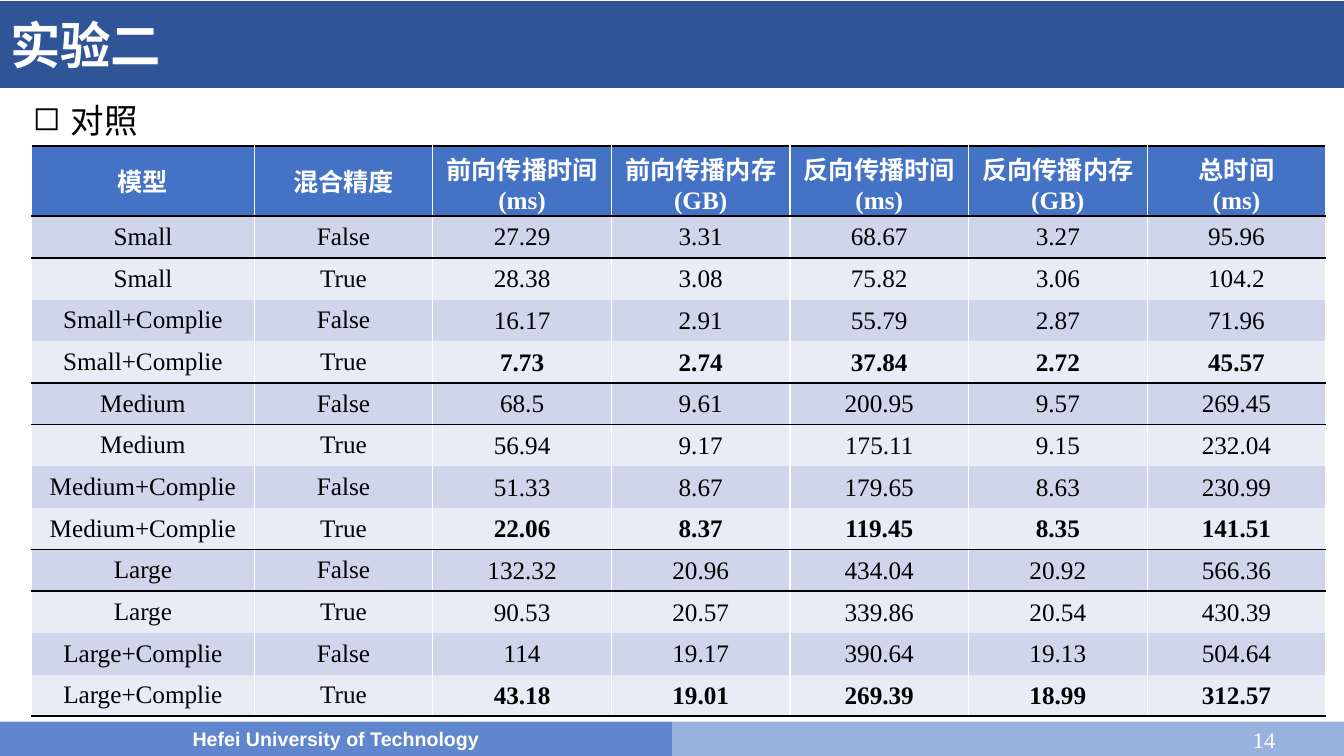
import pptx
import pptx.dml.color
import pptx.enum.shapes
import pptx.enum.text
import pptx.oxml
import pptx.oxml.ns
import pptx.util

Pt = pptx.util.Pt
ALIGN = pptx.enum.text.PP_ALIGN
MIDDLE = pptx.enum.text.MSO_ANCHOR.MIDDLE

SLIDE_WIDTH, SLIDE_HEIGHT = 960, 540
SERIF, SANS = "Times New Roman", "Arial"
COLORS = {
    "banner": "2F5497",
    "banner_line": "325491",
    "footer_left": "6087CD",
    "footer_right": "99B1DF",
    "header": "4472C4",
    "band_dark": "CFD5EA",
    "band_light": "E9EBF5",
    "white": "FFFFFF",
    "black": "000000",
}

HEADERS = [
    ["模型"], ["混合精度"],
    ["前向传播时间", "(ms)"], ["前向传播内存", "(GB)"],
    ["反向传播时间", "(ms)"], ["反向传播内存", "(GB)"],
    ["总时间", "(ms)"],
]
# Four runs per model size: plain, plain, compiled, compiled
RESULTS = {
    "Small": [
        ["27.29", "3.31", "68.67", "3.27", "95.96"],
        ["28.38", "3.08", "75.82", "3.06", "104.2"],
        ["16.17", "2.91", "55.79", "2.87", "71.96"],
        ["7.73", "2.74", "37.84", "2.72", "45.57"],
    ],
    "Medium": [
        ["68.5", "9.61", "200.95", "9.57", "269.45"],
        ["56.94", "9.17", "175.11", "9.15", "232.04"],
        ["51.33", "8.67", "179.65", "8.63", "230.99"],
        ["22.06", "8.37", "119.45", "8.35", "141.51"],
    ],
    "Large": [
        ["132.32", "20.96", "434.04", "20.92", "566.36"],
        ["90.53", "20.57", "339.86", "20.54", "430.39"],
        ["114", "19.17", "390.64", "19.13", "504.64"],
        ["43.18", "19.01", "269.39", "18.99", "312.57"],
    ],
}
ROOMY_ROWS = {1, 2, 5}  # rows whose numbers keep the default cell margins


def rgb(name):
    return pptx.dml.color.RGBColor.from_string(COLORS[name])


def add_run(paragraph, text, size, color, bold=False, font=SERIF):
    run = paragraph.add_run()
    run.text = text
    run.font.name, run.font.size, run.font.bold = font, Pt(size), bold
    run.font.color.rgb = rgb(color)
    return run


def add_bar(slide, left, top, width, height, fill, line=None):
    bar = slide.shapes.add_shape(
        pptx.enum.shapes.MSO_SHAPE.RECTANGLE, Pt(left), Pt(top), Pt(width), Pt(height))
    bar.shadow.inherit = False
    bar.fill.solid()
    bar.fill.fore_color.rgb = rgb(fill)
    if line:
        bar.line.color.rgb = rgb(line)
        bar.line.width = Pt(1)
    else:
        bar.line.fill.background()
    return bar


def add_text_box(slide, left, top, width, height):
    box = slide.shapes.add_textbox(Pt(left), Pt(top), Pt(width), Pt(height))
    box.text_frame.word_wrap = True
    return box.text_frame


def add_title(slide, left, top, width, height):
    banner = add_bar(slide, left, top, width, height, "banner", "banner_line")
    title = slide.shapes.title
    banner.element.addnext(title.element)  # title sits above its banner
    title.left, title.top = Pt(left), Pt(top)
    title.width, title.height = Pt(width - 30), Pt(height)
    frame = title.text_frame
    frame.auto_size = pptx.enum.text.MSO_AUTO_SIZE.NONE
    frame.vertical_anchor = MIDDLE
    paragraph = frame.paragraphs[0]
    paragraph.alignment = ALIGN.LEFT
    paragraph.space_before = Pt(1.3)
    add_run(paragraph, "实验二", 36, "white", bold=True)


def add_footer(slide, left, top, width, height):
    half = width / 2
    add_bar(slide, left + half, top, half, height, "footer_right")
    school = add_bar(slide, left, top, half, height, "footer_left").text_frame
    school.vertical_anchor = MIDDLE
    school.paragraphs[0].alignment = ALIGN.CENTER
    add_run(school.paragraphs[0], "Hefei University of Technology", 14, "white", True, SANS)
    # Slide number
    number = add_text_box(slide, left + width - 258, top, 216, 26.4)
    number.vertical_anchor = MIDDLE
    number.paragraphs[0].alignment = ALIGN.RIGHT
    add_run(number.paragraphs[0], "14", 16, "white")


def add_body(slide, left, top, width, height):
    paragraph = add_text_box(slide, left, top, width, height).paragraphs[0]
    paragraph.line_spacing = 0.9
    paragraph.space_before = Pt(10)
    add_run(paragraph, "对照", 24, "black")
    properties = paragraph._p.get_or_add_pPr()
    properties.set("marL", str(Pt(27)))
    properties.set("indent", str(-Pt(27)))
    properties.append(pptx.oxml.parse_xml(
        f'<a:buChar {pptx.oxml.ns.nsdecls("a")} char="◻"/>'))


def set_border(cell, side, color=None, width=1):
    paint = (f'<a:solidFill><a:srgbClr val="{COLORS[color]}"/></a:solidFill>'
             if color else "<a:noFill/>")
    cell._tc.get_or_add_tcPr().append(pptx.oxml.parse_xml(
        f'<a:ln{side} {pptx.oxml.ns.nsdecls("a")} w="{Pt(width)}">{paint}</a:ln{side}>'))


def fill_cell(cell, lines, fill, color, bold, rule_above, rule_below):
    for side in "LR":
        set_border(cell, side, "white")
    for side, ruled in (("T", rule_above), ("B", rule_below)):
        set_border(cell, side, "black" if ruled else None, 1.5)
    cell.fill.solid()
    cell.fill.fore_color.rgb = rgb(fill)
    cell.vertical_anchor = MIDDLE
    frame = cell.text_frame
    for index, line in enumerate(lines):
        paragraph = frame.add_paragraph() if index else frame.paragraphs[0]
        paragraph.alignment = ALIGN.CENTER
        add_run(paragraph, line, 18, color, bold)


def add_results_table(slide, left, top, width, height):
    rows = [HEADERS]
    for model, runs in RESULTS.items():
        for index, values in enumerate(runs):
            name = model + ("+Complie" if index >= 2 else "")
            rows.append([[text] for text in (name, str(index % 2 == 1), *values)])

    table = slide.shapes.add_table(
        len(rows), len(HEADERS), Pt(left), Pt(top), Pt(width), Pt(height)).table
    table.horz_banding = False
    model_width, header_height = 159, 36
    for index, column in enumerate(table.columns):
        column.width = Pt(model_width if index == 0 else (width - model_width) / 6)
    for index, row in enumerate(table.rows):
        row.height = Pt(header_height if index == 0 else (height - header_height) / 12)

    for r, row in enumerate(rows):
        # Rules close each group of four and follow its first row
        rule_above, rule_below = r == 0 or (r - 1) % 4 < 2, r % 4 < 2
        if r > 0:
            rule_above = (r - 1) % 4 < 2
        for c, lines in enumerate(row):
            cell = table.cell(r, c)
            if r == 0:
                fill, color, bold = "header", "white", True
            else:
                fill = "band_dark" if r % 2 else "band_light"
                color, bold = "black", r % 4 == 0 and c >= 2
            fill_cell(cell, lines, fill, color, bold, rule_above, rule_below)
            if r > 0 and c >= 2 and r not in ROOMY_ROWS:
                cell.margin_left = cell.margin_right = cell.margin_top = Pt(0.7)
                cell.margin_bottom = Pt(0)


def main():
    presentation = pptx.Presentation()
    presentation.slide_width, presentation.slide_height = Pt(SLIDE_WIDTH), Pt(SLIDE_HEIGHT)
    slide = presentation.slides.add_slide(presentation.slide_layouts[5])
    add_title(slide, 0, 1.2, SLIDE_WIDTH, 61.2)
    add_footer(slide, 0, 515.4, SLIDE_WIDTH, 25)
    add_body(slide, 16.5, 71.3, 921.6, 425.5)
    add_results_table(slide, 22.6, 104, 924.5, 393.2)
    presentation.save("out.pptx")


if __name__ == "__main__":
    main()
